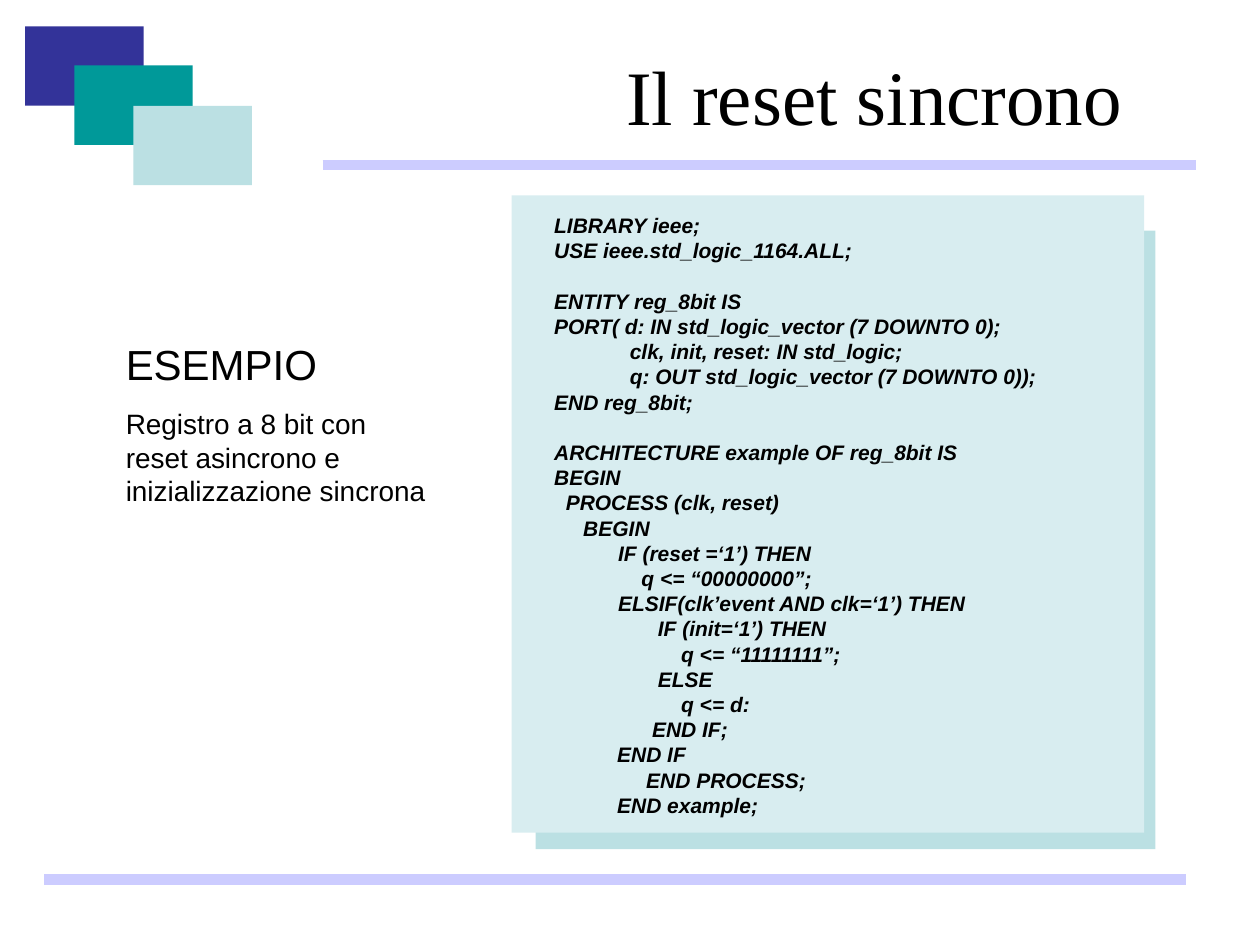
import pptx
import pptx.dml.color
import pptx.enum.shapes
import pptx.enum.text
import pptx.oxml
import pptx.oxml.ns
import pptx.util

COLORS = {
    "ink": "000000",
    "indigo": "333399",
    "teal": "009999",
    "aqua": "BBE0E3",
    "panel": "D8EDF0",
    "rule": "CCCCFF",
}

LOGO_BLOCKS = [("indigo", 2, 2.1), ("teal", 5.9, 5.2), ("aqua", 10.6, 8.4)]

CODE = """LIBRARY ieee;
USE ieee.std_logic_1164.ALL;

ENTITY reg_8bit IS
PORT( d: IN std_logic_vector (7 DOWNTO 0);
             clk, init, reset: IN std_logic;
             q: OUT std_logic_vector (7 DOWNTO 0));
END reg_8bit;

ARCHITECTURE example OF reg_8bit IS
BEGIN
  PROCESS (clk, reset)
     BEGIN
           IF (reset =‘1’) THEN
               q <= “00000000”;
           ELSIF(clk’event AND clk=‘1’) THEN"""

NESTED_CODE = """       IF (init=‘1’) THEN
           q <= “11111111”;
       ELSE
           q <= d:
      END IF;
END IF
     END PROCESS;
END example;"""


class SlideBuilder:
    """Hold the style and current slide, measured on a 100 by 75 grid."""

    def __init__(self, presentation):
        self.cell = presentation.slide_width / 100
        self.slide = presentation.slides.add_slide(presentation.slide_layouts[5])

    def grid(self, *lengths):
        return [pptx.util.Emu(round(length * self.cell)) for length in lengths]

    def color(self, name):
        return pptx.dml.color.RGBColor.from_string(COLORS[name])

    def format(self, paragraph, size, name="Arial", emphasis=False):
        for run in paragraph.runs:
            font = run.font
            font.name = name
            font.size = pptx.util.Pt(size)
            font.bold = font.italic = emphasis
            font.color.rgb = self.color("ink")

    def title(self, text, box):
        shape = self.slide.shapes.title
        shape.left, shape.top, shape.width, shape.height = self.grid(*box)
        frame = shape.text_frame
        frame.text = text
        frame.auto_size = pptx.enum.text.MSO_AUTO_SIZE.NONE
        frame.vertical_anchor = pptx.enum.text.MSO_ANCHOR.MIDDLE
        frame.paragraphs[0].alignment = pptx.enum.text.PP_ALIGN.CENTER
        self.format(frame.paragraphs[0], 44, "Times New Roman")

    def block(self, color, box, shapes=None):
        shapes = shapes or self.slide.shapes
        shape = shapes.add_shape(pptx.enum.shapes.MSO_SHAPE.RECTANGLE, *self.grid(*box))
        shape.shadow.inherit = False
        shape.fill.solid()
        shape.fill.fore_color.rgb = self.color(color)
        shape.line.fill.background()

    def rule(self, start, end, row):
        connector = self.slide.shapes.add_connector(
            pptx.enum.shapes.MSO_CONNECTOR.STRAIGHT, *self.grid(start, row, end, row))
        connector.line.color.rgb = self.color("rule")
        connector.line.width = pptx.util.Pt(6)
        properties = connector._element.spPr
        properties.append(pptx.oxml.parse_xml(
            "<a:effectLst %s/>" % pptx.oxml.ns.nsdecls("a")))

    def text(self, box, shapes=None):
        shapes = shapes or self.slide.shapes
        frame = shapes.add_textbox(*self.grid(*box)).text_frame
        frame.word_wrap = True
        return frame

    def code(self, box, shapes):
        frame = self.text(box, shapes)
        frame.text = CODE + "\n" + NESTED_CODE
        nested_start = len(CODE.splitlines())
        for index, paragraph in enumerate(frame.paragraphs):
            self.format(paragraph, 12, emphasis=True)
            paragraph.font.size = pptx.util.Pt(12)
            if index >= nested_start:
                paragraph._p.get_or_add_pPr().set("marL", str(self.grid(5)[0]))

    def code_panel(self):
        shapes = self.slide.shapes.add_group_shape().shapes
        self.block("aqua", (42.5, 18.3, 49.2, 49.1), shapes)
        self.block("panel", (40.6, 15.5, 50.2, 50.6), shapes)
        self.code((43, 16.4, 47, 49), shapes)

    def example(self, heading, description, box):
        frame = self.text(box)
        frame.text = heading + "\n" + description
        first, second = frame.paragraphs
        self.format(first, 24)
        self.format(second, 16)
        second.space_before = pptx.util.Pt(10)


def main():
    presentation = pptx.Presentation()
    presentation.slide_width = pptx.util.Inches(10)
    presentation.slide_height = pptx.util.Inches(7.5)
    builder = SlideBuilder(presentation)
    builder.title("Il reset sincrono", (46.1, 2.8, 46.6, 9.5))
    builder.rule(25.6, 94.9, 13.1)
    for color, left, top in LOGO_BLOCKS:
        builder.block(color, (left, top, 9.4, 6.3))
    builder.rule(3.5, 94.1, 69.8)
    builder.code_panel()
    builder.example(
        "ESEMPIO",
        "Registro a 8 bit con reset asincrono e inizializzazione sincrona",
        (9, 26.4, 26, 14.4))
    presentation.save("out.pptx")


if __name__ == "__main__":
    main()
